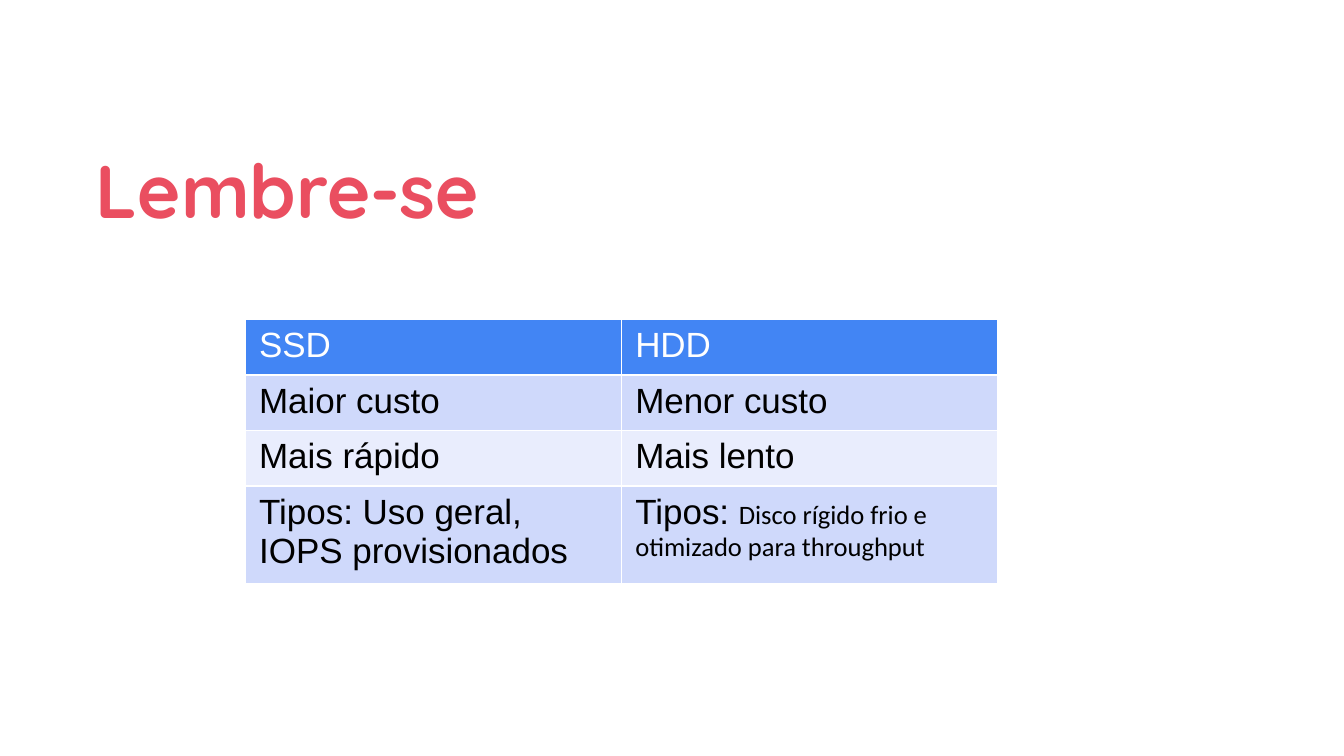
from pptx import Presentation
from pptx.dml.color import RGBColor
from pptx.enum.text import MSO_ANCHOR
from pptx.util import Cm, Pt
from lxml.etree import SubElement
from pptx.oxml.ns import qn

TITLE = "Lembre-se"
ROWS = [
    (["SSD"], ["HDD"]),
    (["Maior custo"], ["Menor custo"]),
    (["Mais rápido"], ["Mais lento"]),
    (["Tipos: Uso geral, IOPS provisionados"],
     ["Tipos: ", "Disco rígido frio e otimizado para throughput"]),
]
ROW_HEIGHTS = [1.39, 1.39, 1.39, 2.43]
COL_WIDTH = 9.48
COLORS = {
    "title": "EA4E60", "header": "4285F4", "odd": "CFD9FB",
    "even": "E9EDFD", "white": "FFFFFF", "black": "000000",
}
STYLES = [{"size": 25, "font": "Arial"}, {"size": 19, "font": "Calibri"}]


def rgb(name):
    return RGBColor.from_string(COLORS[name])


def add_text(p, text, *, size, font, color, bold=False):
    r = p.add_run()
    r.text = text
    r.font.size = Pt(size)
    r.font.name = font
    r.font.bold = bold
    r.font.color.rgb = rgb(color)


def add_borders(cell):
    tc_pr = cell._tc.get_or_add_tcPr()
    for side in ("L", "R", "T", "B"):
        ln = SubElement(tc_pr, qn(f"a:ln{side}"), w=str(Pt(1)))
        fill = SubElement(ln, qn("a:solidFill"))
        SubElement(fill, qn("a:srgbClr"), val=COLORS["white"])


def add_title(s):
    sp = s.shapes.add_textbox(Cm(2.08), Cm(2.9), Cm(29.6), Cm(3.35))
    tf = sp.text_frame
    tf.word_wrap = True
    tf.vertical_anchor = MSO_ANCHOR.MIDDLE
    tf.margin_left = tf.margin_right = Cm(0.34)
    tf.margin_top = tf.margin_bottom = Cm(0.34)
    p = tf.paragraphs[0]
    p.line_spacing = 1.15
    add_text(p, TITLE, size=53.3, font="Quicksand", color="title", bold=True)


def add_comparison(s):
    cols = len(ROWS[0])
    table = s.shapes.add_table(
        len(ROWS), cols, Cm(6.19), Cm(8.05),
        Cm(COL_WIDTH * cols), Cm(sum(ROW_HEIGHTS))).table
    for col in table.columns:
        col.width = Cm(COL_WIDTH)
    for i, (row, height) in enumerate(zip(ROWS, ROW_HEIGHTS)):
        table.rows[i].height = Cm(height)
        band = "header" if i == 0 else "odd" if i % 2 else "even"
        for j, parts in enumerate(row):
            cell = table.cell(i, j)
            cell.margin_left = cell.margin_right = Cm(0.34)
            cell.margin_top = cell.margin_bottom = Cm(0.17)
            add_borders(cell)
            cell.fill.solid()
            cell.fill.fore_color.rgb = rgb(band)
            p = cell.text_frame.paragraphs[0]
            for text, style in zip(parts, STYLES):
                add_text(p, text, color="black" if i else "white", **style)


def main():
    prs = Presentation()
    prs.slide_width, prs.slide_height = Cm(33.87), Cm(19.05)
    s = prs.slides.add_slide(prs.slide_layouts[6])
    add_title(s)
    add_comparison(s)
    prs.save("out.pptx")


if __name__ == "__main__":
    main()
